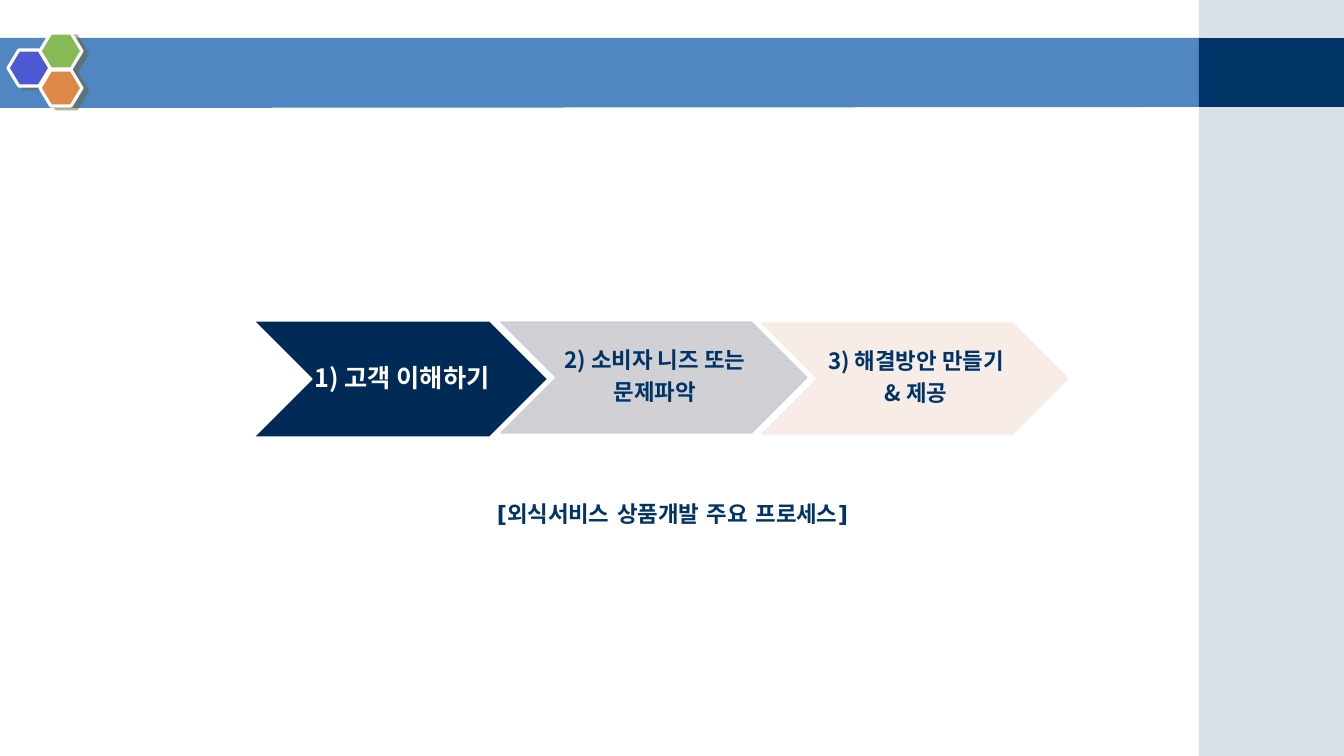
"""Build a slide with a three-step chevron process under a blue title band."""
from lxml.etree import SubElement
from pptx import Presentation
from pptx.dml.color import RGBColor
from pptx.enum.shapes import MSO_SHAPE as SHAPE
from pptx.enum.text import MSO_ANCHOR as ANCHOR, MSO_AUTO_SIZE as AUTO, PP_ALIGN as ALIGN
from pptx.oxml.ns import qn
from pptx.util import Emu, Pt

COLORS = {"band": "5086C2", "panel": "A0B5C4", "navy": "003366", "white": "FFFFFF",
          "violet": "4C59D2", "green": "85BA54", "orange": "DE8848", "shade": "666633",
          "deep": "002A56", "grey": "CCCDD1", "cream": "F8EBE5"}
KOREAN, LATIN = "Noto Sans CJK KR", "DejaVu Sans"

BAND = [(-1, 38), (1204, 38), (1203, 107), (-1, 108)]
PANELS = [((1199, 0, 145, 756), "panel", 40), ((1199, 38, 145, 69), "navy", 100)]
HEXAGONS = [(8, 50, "violet"), (40, 33, "green"), (40, 70, "orange")]
HEXAGON_SIZE = (42, 36)
STEPS = [
    ((254, 321, 294, 116), "deep", "white", 100, ["1) 고객 이해하기"], 18, "white"),
    ((501, 322, 306, 111), "grey", "grey", 90, ["2) 소비자 니즈 또는", "문제파악"], 16, "navy"),
    ((762, 323, 306, 111), "cream", "cream", 90, ["3) 해결방안 만들기", "& 제공"], 16, "navy"),
]
CAPTION = "[외식서비스 상품개발 주요 프로세스]"
CAPTION_BOX = (485, 495, 375, 37)


def px(value):
    return Emu(round(value * 914400 / 100.8))


def paint(fill, color, opacity=100):
    fill.solid()
    fill.fore_color.rgb = RGBColor.from_string(COLORS[color])
    if opacity < 100:
        tint = fill._xPr.find(qn("a:solidFill"))[0]
        SubElement(tint, qn("a:alpha"), val=str(opacity * 1000))


def style(shape, color, opacity=100, outline=None, weight=1):
    shape.shadow.inherit = False
    paint(shape.fill, color, opacity)
    if outline:
        paint(shape.line.fill, outline, opacity)
        shape.line.width = Pt(weight)
    else:
        shape.line.fill.background()
    return shape


def add_preset(page, kind, frame, *look):
    return style(page.shapes.add_shape(kind, *map(px, frame)), *look)


def cast_shadow(shape):
    effects = shape._element.spPr.find(qn("a:effectLst"))
    shadow = SubElement(effects, qn("a:outerShdw"), blurRad="0", dist=str(Pt(4.5)),
                        dir=str(27 * 60000), algn="ctr", rotWithShape="0")
    tint = SubElement(shadow, qn("a:srgbClr"), val=COLORS["shade"])
    SubElement(tint, qn("a:alpha"), val="50000")


def add_text(page, frame, lines, size, color, font):
    box = page.shapes.add_textbox(*map(px, frame))
    box.text_frame.word_wrap = True
    box.text_frame.text = "\n".join(lines)
    for para in box.text_frame.paragraphs:
        para.alignment = ALIGN.CENTER
        for span in para.runs:
            span.font.name = font
            span.font.size = Pt(size)
            span.font.bold = True
            span.font.color.rgb = RGBColor.from_string(COLORS[color])
            SubElement(span.font._element, qn("a:ea"), typeface=font)
    return box.text_frame


def add_step(page, frame, color, outline, opacity, lines, size, ink):
    add_preset(page, SHAPE.CHEVRON, frame, color, opacity, outline)
    left, top, width, height = frame
    inner = (left + height / 2, top, width - height, height)
    text = add_text(page, inner, lines, size, ink, KOREAN)
    text.vertical_anchor = ANCHOR.MIDDLE
    text.margin_left, text.margin_right = px(2), 0
    text.margin_top = text.margin_bottom = px(1)
    for para in text.paragraphs:
        para.line_spacing = 0.9
        para.space_after = Pt(round(size * 0.35, 1))


def main():
    deck = Presentation()
    deck.slide_width, deck.slide_height = px(1344), px(756)
    page = deck.slides.add_slide(deck.slide_layouts[6])

    corners = [(px(x), px(y)) for x, y in BAND]
    outline = page.shapes.build_freeform(*corners[0])
    outline.add_line_segments(corners[1:], close=True)
    style(outline.convert_to_shape(), "band")
    for frame, color, opacity in PANELS:
        add_preset(page, SHAPE.RECTANGLE, frame, color, opacity)
    for left, top, color in HEXAGONS:
        hexagon = add_preset(page, SHAPE.HEXAGON, (left, top, *HEXAGON_SIZE),
                             color, 100, "white", 2.25)
        hexagon.adjustments[0] = 0.3
        cast_shadow(hexagon)

    caption = add_text(page, CAPTION_BOX, [CAPTION], 16, "navy", LATIN)
    caption.auto_size = AUTO.SHAPE_TO_FIT_TEXT
    for step in STEPS:
        add_step(page, *step)
    deck.save("out.pptx")


if __name__ == "__main__":
    main()
